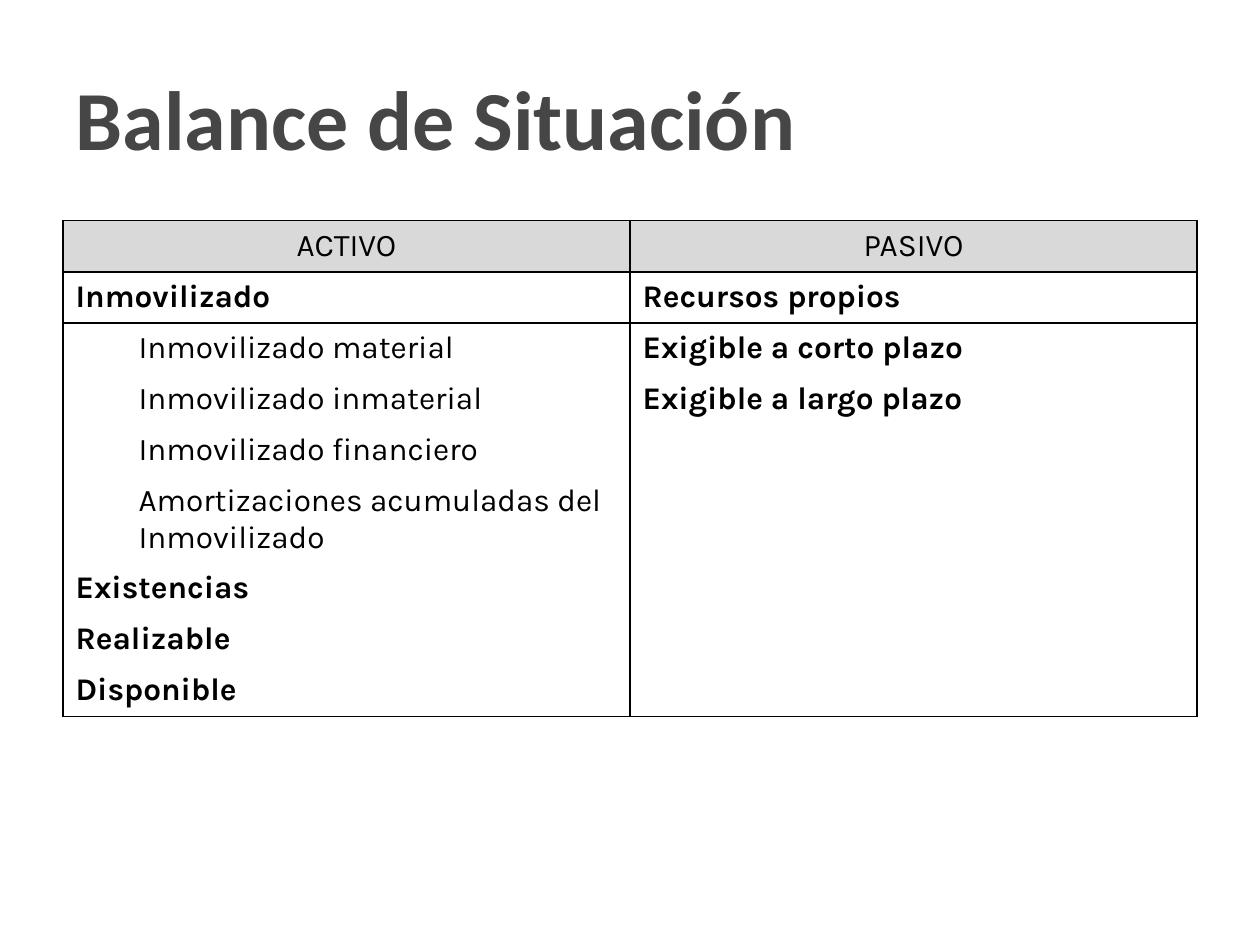
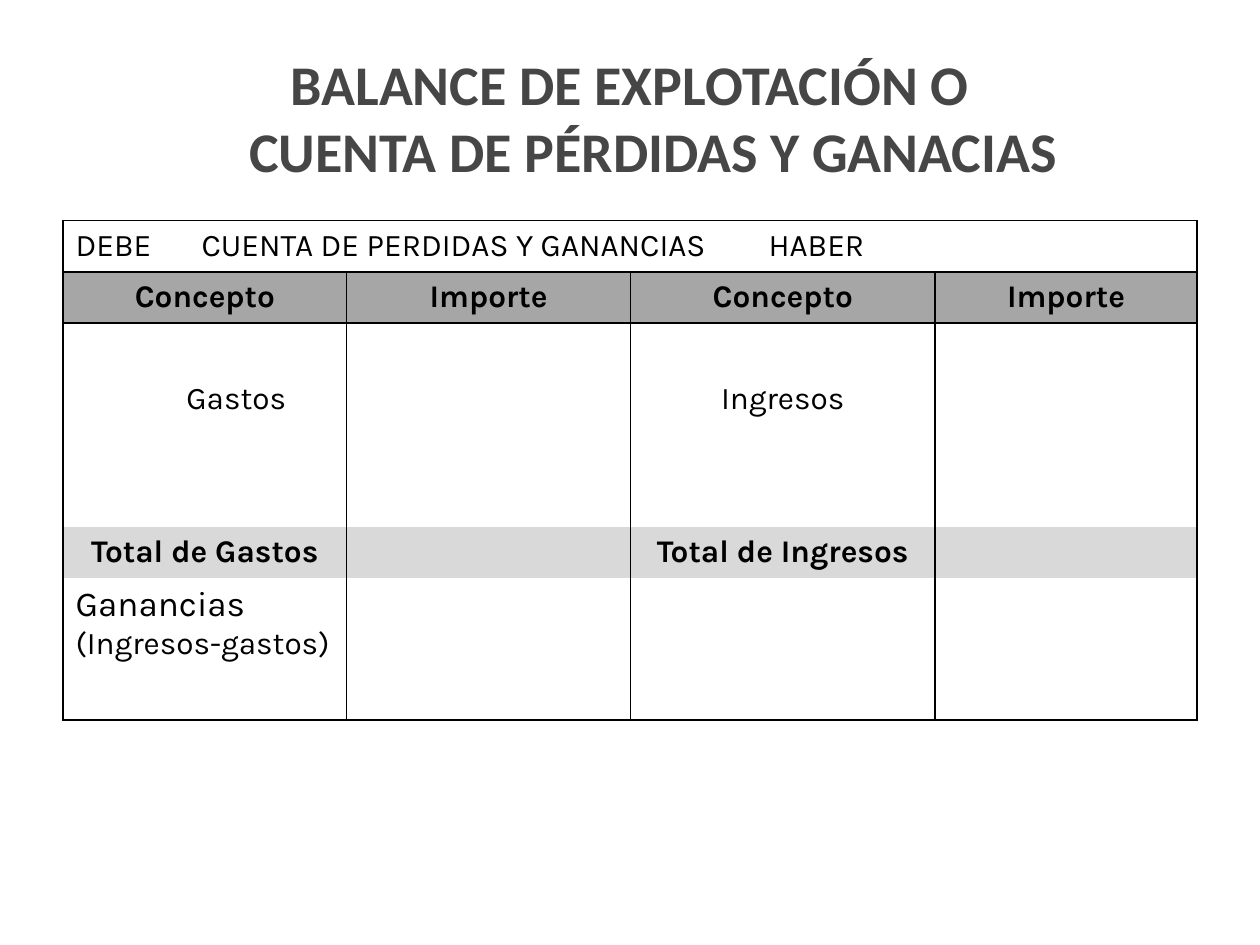
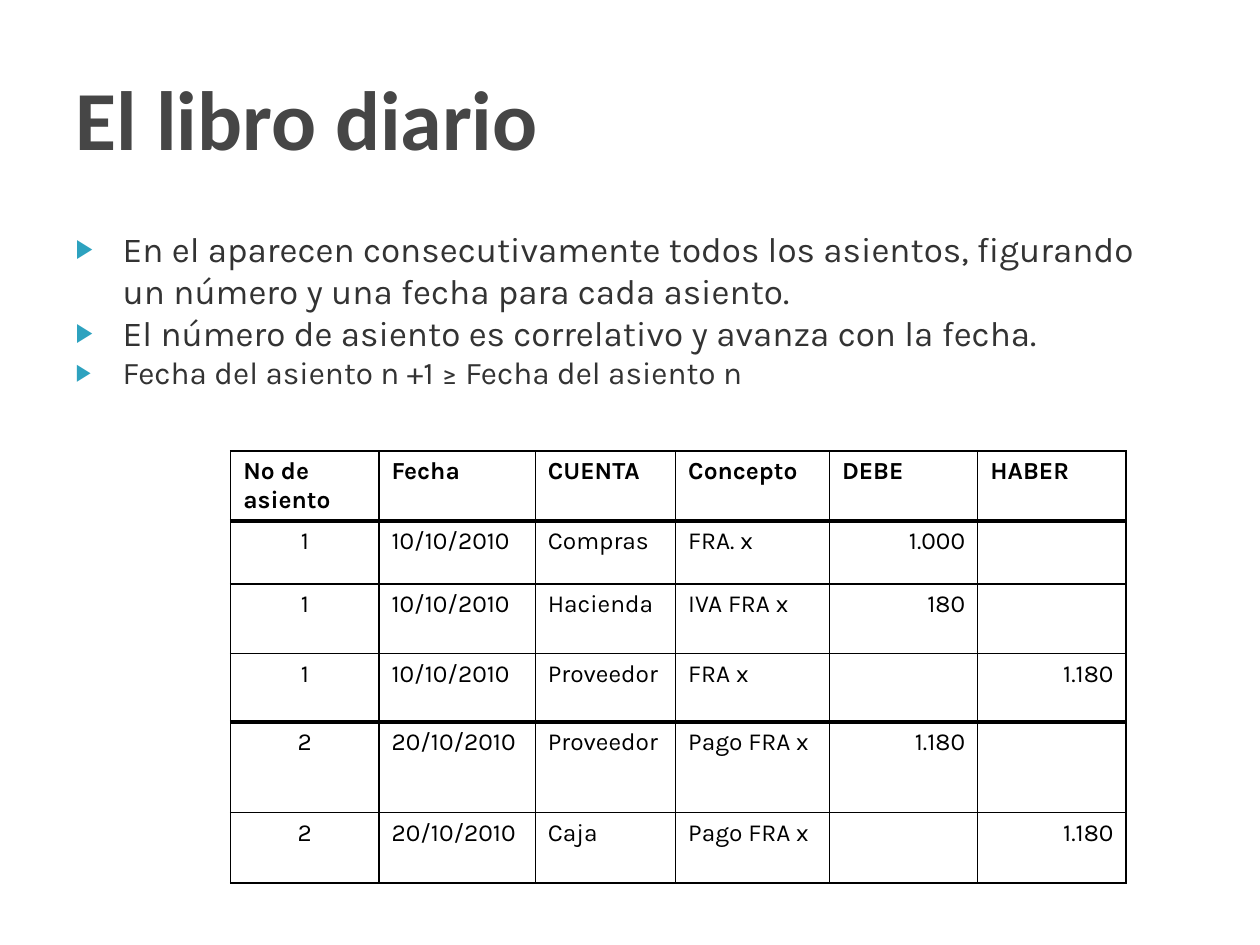
from dataclasses import dataclass, field

from lxml import etree
from pptx import Presentation
from pptx.dml.color import RGBColor
from pptx.enum.text import MSO_ANCHOR, MSO_AUTO_SIZE, PP_ALIGN
from pptx.oxml.ns import qn
from pptx.slide import Slide
from pptx.table import _Cell
from pptx.text.text import _Paragraph
from pptx.util import Cm, Length, Pt

LEFT, CENTER, RIGHT = PP_ALIGN.LEFT, PP_ALIGN.CENTER, PP_ALIGN.RIGHT
MIDDLE, TOP = MSO_ANCHOR.MIDDLE, MSO_ANCHOR.TOP
NO_FIT = MSO_AUTO_SIZE.NONE

BLACK = RGBColor(0x00, 0x00, 0x00)
WHITE = RGBColor(0xFF, 0xFF, 0xFF)
TITLE_GREY = RGBColor(0x46, 0x46, 0x46)
BODY_GREY = RGBColor(0x33, 0x33, 0x33)
LIGHT_GREY = RGBColor(0xD9, 0xD9, 0xD9)
MID_GREY = RGBColor(0xA6, 0xA6, 0xA6)
TEAL = RGBColor(0x2D, 0xA2, 0xBF)

TITLE_FONT, BODY_FONT = "Calibri", "Karla"
PLAIN_STYLE = "{2D5ABB26-0587-4C30-8999-92F81FD0307C}"
CONTENT_LAYOUT, TITLE_LAYOUT = 1, 5

MARGIN, CONTENT_TOP, CONTENT_WIDTH = Cm(1.27), Cm(4.45), Cm(22.86)
HANGING = Cm(0.95)
SUBLEVEL = Cm(1.27)
ROW = 1.03


@dataclass(frozen=True)
class Entry:
    text: str
    bold: bool = False
    align: PP_ALIGN = LEFT
    size: int = 18
    margin: Length = Cm(0)
    tabs: tuple[Length, ...] = ()


@dataclass(frozen=True)
class Ledger:
    left: Length
    top: Length
    columns: tuple[float, ...]
    rows: tuple[float, ...]
    entries: dict[tuple[int, int], tuple[Entry, ...]]
    rules: dict[int, int]
    fills: dict[int, RGBColor] = field(default_factory=dict)
    merged_header: bool = False


def write(paragraph: _Paragraph, text: str, *, font: str = BODY_FONT, size: int = 18,
          color: RGBColor = BLACK, bold: bool = False, align: PP_ALIGN = LEFT,
          margin: Length = Cm(0), indent: Length = Cm(0), bullet: str = "",
          tabs: tuple[Length, ...] = ()) -> None:
    paragraph.text = text
    paragraph.alignment = align
    paragraph.space_before = Pt(0)
    for run in paragraph.runs:
        run.font.name = font
        run.font.size = Pt(size)
        run.font.bold = bold
        run.font.color.rgb = color
    for line_break in paragraph._p.findall(qn("a:br")):
        etree.SubElement(line_break, qn("a:rPr"), sz=str(size * 100))
    properties = paragraph._p.get_or_add_pPr()
    properties.set("marL", str(margin))
    properties.set("indent", str(indent))
    if bullet:
        bullet_color = etree.SubElement(properties, qn("a:buClr"))
        etree.SubElement(bullet_color, qn("a:srgbClr"), val=str(TEAL))
        etree.SubElement(properties, qn("a:buSzPct"), val="75000")
        etree.SubElement(properties, qn("a:buChar"), char=bullet)
    if tabs:
        stops = etree.SubElement(properties, qn("a:tabLst"))
        for position in tabs:
            etree.SubElement(stops, qn("a:tab"), pos=str(position), algn="l")


def add_titled_slide(deck: Presentation, layout: int, title: str, *,
                     size: int = 48, align: PP_ALIGN = LEFT) -> Slide:
    slide = deck.slides.add_slide(deck.slide_layouts[layout])
    heading = slide.shapes.title
    heading.left, heading.top = MARGIN, Cm(0.76)
    heading.width, heading.height = CONTENT_WIDTH, Cm(3.18)
    frame = heading.text_frame
    frame.auto_size = NO_FIT
    frame.vertical_anchor = MIDDLE
    write(frame.paragraphs[0], title, font=TITLE_FONT, size=size, color=TITLE_GREY,
          bold=True, align=align, margin=HANGING, indent=-HANGING)
    return slide


def add_bullets(slide: Slide, bullets: tuple[Entry, ...]) -> None:
    body = slide.placeholders[1]
    body.left, body.top = MARGIN, CONTENT_TOP
    body.width, body.height = CONTENT_WIDTH, Cm(12.57)
    frame = body.text_frame
    frame.auto_size = NO_FIT
    frame.vertical_anchor = TOP
    for index, item in enumerate(bullets):
        paragraph = frame.add_paragraph() if index else frame.paragraphs[0]
        write(paragraph, item.text, size=item.size, color=BODY_GREY,
              margin=HANGING, indent=-HANGING, bullet="▶")


def draw_borders(cell: _Cell, top: int, bottom: int) -> None:
    properties = cell._tc.get_or_add_tcPr()
    for tag, width in (("a:lnL", 1), ("a:lnR", 1), ("a:lnT", top), ("a:lnB", bottom)):
        if width:
            line = etree.SubElement(properties, qn(tag), w=str(Pt(width)))
            solid = etree.SubElement(line, qn("a:solidFill"))
            etree.SubElement(solid, qn("a:srgbClr"), val=str(BLACK))


def add_ledger(slide: Slide, ledger: Ledger) -> None:
    frame = slide.shapes.add_table(
        len(ledger.rows), len(ledger.columns), ledger.left, ledger.top,
        Cm(sum(ledger.columns)), Cm(sum(ledger.rows)))
    table = frame.table
    table.first_row = table.horz_banding = False
    table._tbl.tblPr.find(qn("a:tableStyleId")).text = PLAIN_STYLE
    for column, width in zip(table.columns, ledger.columns):
        column.width = Cm(width)
    for row, height in zip(table.rows, ledger.rows):
        row.height = Cm(height)
    if ledger.merged_header:
        table.cell(0, 0).merge(table.cell(0, len(ledger.columns) - 1))
    for r in range(len(ledger.rows)):
        for c in range(len(ledger.columns)):
            cell = table.cell(r, c)
            if cell.is_spanned:
                continue
            draw_borders(cell, ledger.rules.get(r, 0), ledger.rules.get(r + 1, 0))
            if r in ledger.fills:
                cell.fill.solid()
                cell.fill.fore_color.rgb = ledger.fills[r]
            else:
                cell.fill.background()
            for index, entry in enumerate(ledger.entries.get((r, c), ())):
                lines = cell.text_frame
                paragraph = lines.add_paragraph() if index else lines.paragraphs[0]
                write(paragraph, entry.text, size=entry.size, bold=entry.bold,
                      align=entry.align, margin=entry.margin, tabs=entry.tabs)


def balance_sheet() -> Ledger:
    assets = (
        Entry("ACTIVO", align=CENTER),
        Entry("Inmovilizado", bold=True),
        Entry("Inmovilizado material", margin=SUBLEVEL),
        Entry("Inmovilizado inmaterial", margin=SUBLEVEL),
        Entry("Inmovilizado financiero", margin=SUBLEVEL),
        Entry("Amortizaciones acumuladas del Inmovilizado", margin=SUBLEVEL),
        Entry("Existencias", bold=True),
        Entry("Realizable", bold=True),
        Entry("Disponible", bold=True),
    )
    liabilities = (
        Entry("PASIVO", align=CENTER),
        Entry("Recursos propios", bold=True),
        Entry("Exigible a corto plazo", bold=True),
        Entry("Exigible a largo plazo", bold=True),
    )
    entries = {(r, c): (entry,) for c, side in enumerate((assets, liabilities))
               for r, entry in enumerate(side)}
    return Ledger(MARGIN, CONTENT_TOP, (11.43,) * 2, (ROW,) * 5 + (1.75,) + (ROW,) * 3,
                  entries, rules={0: 1, 1: 1, 9: 1}, fills={0: LIGHT_GREY})


def profit_and_loss() -> Ledger:
    entries = {
        (0, 0): (Entry("DEBE\tCUENTA DE PERDIDAS Y GANANCIAS\tHABER",
                       tabs=(Cm(4.84), Cm(18.0))),),
        (3, 0): (Entry("Gastos", align=CENTER, margin=SUBLEVEL),),
        (3, 2): (Entry("Ingresos", align=CENTER),),
        (6, 0): (Entry("Total de Gastos", bold=True, align=CENTER),),
        (6, 2): (Entry("Total de Ingresos", bold=True, align=CENTER),),
        (7, 0): (Entry("Ganancias", size=20), Entry("(Ingresos-gastos)")),
    }
    for c, heading in enumerate(("Concepto", "Importe") * 2):
        entries[1, c] = (Entry(heading, bold=True, align=CENTER),)
    return Ledger(MARGIN, CONTENT_TOP, (5.72, 5.72, 6.14, 5.28),
                  (ROW,) * 7 + (1.81, ROW), entries, rules={0: 1, 1: 1, 9: 1},
                  fills={0: WHITE, 1: MID_GREY, 6: LIGHT_GREY}, merged_header=True)


def journal() -> Ledger:
    records = (
        ("Nº de asiento", "Fecha", "CUENTA", "Concepto", "DEBE", "HABER"),
        ("1", "10/10/2010", "Compras", "FRA. x", "1.000", ""),
        ("1", "10/10/2010", "Hacienda", "IVA FRA x", "180", ""),
        ("1", "10/10/2010", "Proveedor", "FRA x", "", "1.180"),
        ("2", "20/10/2010", "Proveedor", "Pago FRA x", "1.180", ""),
        ("2", "20/10/2010", "Caja", "Pago FRA x", "", "1.180"),
    )
    aligns = (CENTER, LEFT, LEFT, LEFT, RIGHT, RIGHT)
    entries = {
        (r, c): (Entry(text, size=14, bold=r == 0, align=aligns[c] if r else LEFT),)
        for r, record in enumerate(records) for c, text in enumerate(record) if text
    }
    return Ledger(Cm(4.65), Cm(9.09), (2.99, 3.15, 2.83, 3.1, 2.99, 2.99),
                  (1.41, 1.27, 1.4, 1.39, 1.82, 1.42), entries,
                  rules={0: 1, 1: 3, 2: 1, 3: 1, 4: 3, 5: 1, 6: 1},
                  fills={r: WHITE for r in range(len(records))})


def main() -> None:
    deck = Presentation()
    deck.slide_width, deck.slide_height = Cm(25.4), Cm(19.05)

    balance_slide = add_titled_slide(deck, TITLE_LAYOUT, "Balance de Situación")
    add_ledger(balance_slide, balance_sheet())

    results_slide = add_titled_slide(
        deck, TITLE_LAYOUT, "BALANCE DE EXPLOTACIÓN O\vCUENTA DE PÉRDIDAS Y GANACIAS",
        size=32, align=CENTER)
    add_ledger(results_slide, profit_and_loss())

    journal_slide = add_titled_slide(deck, CONTENT_LAYOUT, "El libro diario")
    add_bullets(journal_slide, (
        Entry("En el aparecen consecutivamente todos los asientos, figurando un número "
              "y una fecha para cada asiento.", size=20),
        Entry("El número de asiento es correlativo y avanza con la fecha.", size=20),
        Entry("Fecha del asiento n +1 ≥ Fecha del asiento n"),
    ))
    add_ledger(journal_slide, journal())

    deck.save("out.pptx")


if __name__ == "__main__":
    main()
